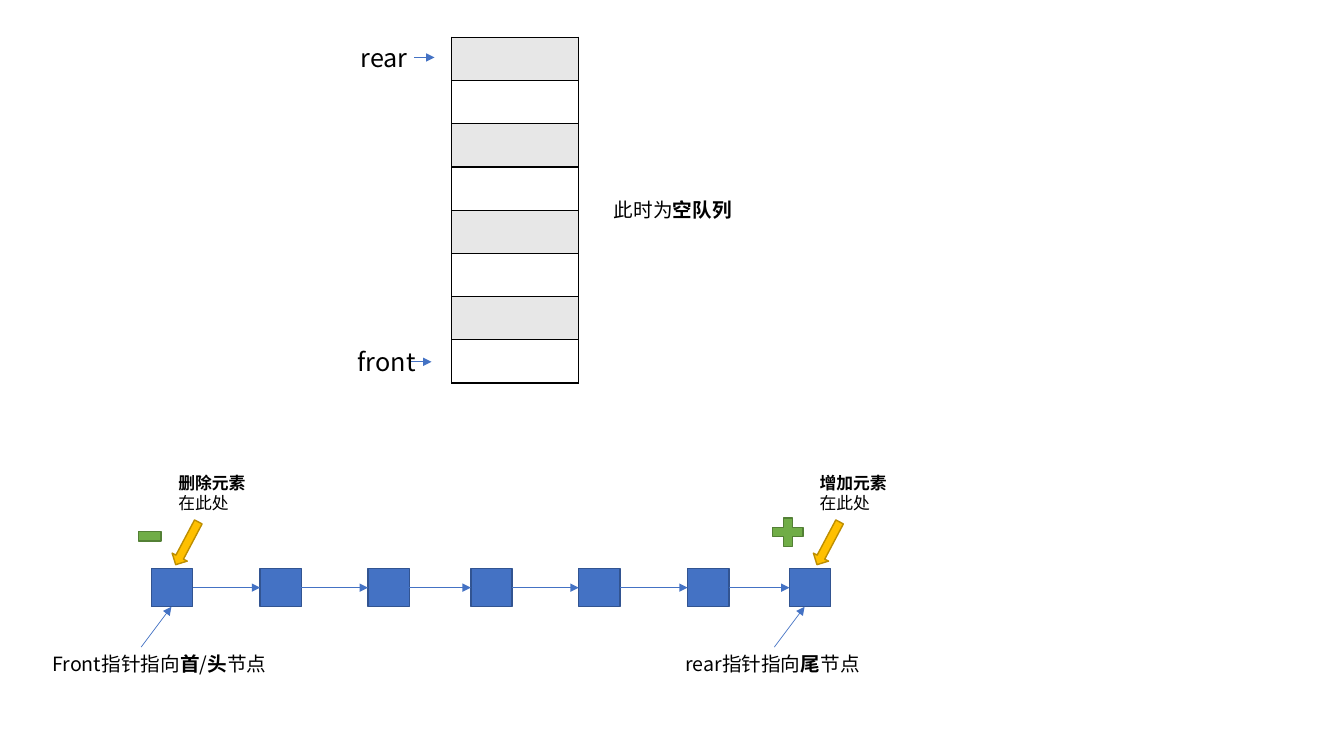
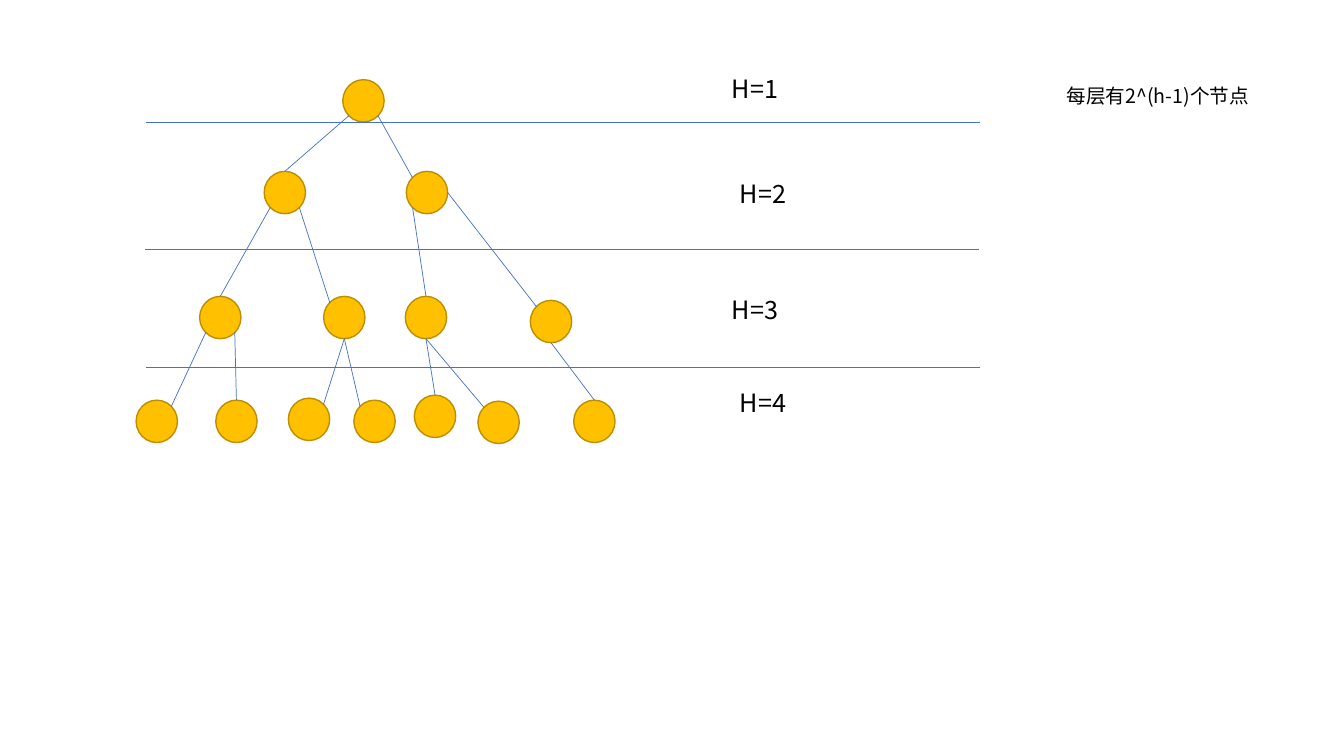
"""Builds two slides on data structures: a queue and a binary tree."""
from lxml import etree
from pptx import Presentation
from pptx.dml.color import RGBColor
from pptx.enum import shapes, text
from pptx.oxml.ns import qn
from pptx.util import Inches, Pt

FONT = "Noto Sans CJK SC"
COLORS = {
    "black": "000000", "white": "FFFFFF", "gray": "E7E7E7",
    "blue": "4472C4", "blue_edge": "325491",
    "gold": "FFC000", "gold_edge": "BD8E00",
    "green": "70AD47", "green_edge": "538035",
}


def add_shape(slide, kind, left, top, width, height, color, rotation=0):
    shape = slide.shapes.add_shape(kind, Inches(left), Inches(top), Inches(width), Inches(height))
    shape.shadow.inherit = False
    shape.rotation = rotation
    shape.fill.solid()
    shape.fill.fore_color.rgb = RGBColor.from_string(COLORS[color])
    shape.line.color.rgb = RGBColor.from_string(COLORS[color + "_edge"])
    shape.line.width = Pt(1)


def add_line(slide, start, end, arrow=False):
    points = [Inches(value) for value in (*start, *end)]
    connector = slide.shapes.add_connector(shapes.MSO_CONNECTOR.STRAIGHT, *points)
    connector.line.color.rgb = RGBColor.from_string(COLORS["blue"])
    connector.line.width = Pt(0.5)
    if arrow:
        etree.SubElement(connector.line._get_or_add_ln(), qn("a:tailEnd"), type="triangle")
    etree.SubElement(connector._element.spPr, qn("a:effectLst"))


presentation = Presentation()
presentation.slide_width = Inches(13.33)
presentation.slide_height = Inches(7.5)
blank = presentation.slide_layouts[6]
queue_slide = presentation.slides.add_slide(blank)
tree_slide = presentation.slides.add_slide(blank)

ROWS = 8
table = queue_slide.shapes.add_table(
    ROWS, 1, Inches(4.48), Inches(0.37), Inches(1.26), Inches(3.43)).table
table.first_row = table.horz_banding = False
for index in range(ROWS):
    cell = table.cell(index, 0)
    cell.margin_top = cell.margin_bottom = 0
    properties = cell._tc.get_or_add_tcPr()
    for side in ("lnL", "lnR", "lnT", "lnB"):
        border = etree.SubElement(properties, qn("a:" + side), w=str(Pt(1)))
        fill = etree.SubElement(border, qn("a:solidFill"))
        etree.SubElement(fill, qn("a:srgbClr"), val=COLORS["black"])
    cell.fill.solid()
    cell.fill.fore_color.rgb = RGBColor.from_string(COLORS["white" if index % 2 else "gray"])

add_line(queue_slide, (4.11, 0.57), (4.31, 0.57), arrow=True)
add_line(queue_slide, (4.08, 3.59), (4.28, 3.59), arrow=True)

BOX_WIDTH, BOX_HEIGHT, BOX_TOP = 0.41, 0.38, 5.64
BOX_MIDDLE = BOX_TOP + BOX_HEIGHT / 2
BOX_LEFTS = [1.5, 2.58, 3.65, 4.67, 5.74, 6.82, 7.83]
for left in BOX_LEFTS:
    add_shape(queue_slide, shapes.MSO_SHAPE.RECTANGLE, left, BOX_TOP, BOX_WIDTH, BOX_HEIGHT, "blue")
for left, next_left in zip(BOX_LEFTS, BOX_LEFTS[1:]):
    add_line(queue_slide, (left + BOX_WIDTH, BOX_MIDDLE), (next_left, BOX_MIDDLE), arrow=True)

for pointer_left, arrow_left in ((1.4, 1.77), (7.68, 8.13)):
    add_line(queue_slide, (pointer_left, 6.42), (pointer_left + 0.3, 6.02), arrow=True)
    add_shape(queue_slide, shapes.MSO_SHAPE.DOWN_ARROW, arrow_left, 5.15, 0.17, 0.48, "gold", 27.9)
add_shape(queue_slide, shapes.MSO_SHAPE.MATH_PLUS, 7.61, 5.09, 0.41, 0.38, "green")
add_shape(queue_slide, shapes.MSO_SHAPE.MATH_MINUS, 1.33, 5.12, 0.31, 0.4, "green")

NODE_WIDTH, NODE_HEIGHT = 0.41, 0.42
NODES = [
    (3.4, 0.79),
    (2.62, 1.7), (4.03, 1.7),
    (1.98, 2.94), (3.21, 2.94), (4.02, 2.94), (5.26, 2.98),
    (1.35, 3.97), (2.14, 3.97), (2.86, 3.95), (3.51, 3.97),
    (4.11, 3.92), (4.74, 3.98), (5.69, 3.97),
]
SITES = {
    "top": (0.5, 0), "top left": (0.15, 0.15), "top right": (0.85, 0.15), "right": (1, 0.5),
    "bottom": (0.5, 1), "bottom left": (0.15, 0.85), "bottom right": (0.85, 0.85),
}
EDGES = [
    ("bottom left", "top"), ("bottom right", "top left"),
    ("bottom left", "top"), ("bottom right", "top left"),
    ("bottom left", "top"), ("right", "top left"),
    ("bottom left", "top right"), ("bottom right", "top"),
    ("bottom", "top right"), ("bottom", "top left"),
    ("bottom", "top"), ("bottom", "top left"),
    ("bottom", "top"),
]
for left, top in NODES:
    add_shape(tree_slide, shapes.MSO_SHAPE.OVAL, left, top, NODE_WIDTH, NODE_HEIGHT, "gold")
for child, edge in enumerate(EDGES, start=1):
    ends = []
    for node, site in zip(((child - 1) // 2, child), edge):
        left, top = NODES[node]
        across, down = SITES[site]
        ends.append((left + across * NODE_WIDTH, top + down * NODE_HEIGHT))
    add_line(tree_slide, *ends)
for left, top in ((1.45, 1.21), (1.44, 2.47), (1.45, 3.64)):
    add_line(tree_slide, (left, top), (left + 8.27, top))

LABELS = [
    (queue_slide, 3.48, 0.37, 0.83, 0.4, 18, "rear"),
    (queue_slide, 3.45, 3.39, 0.83, 0.4, 18, "front"),
    (queue_slide, 5.99, 1.91, 1.43, 0.34, 14, "此时为*空队列*"),
    (queue_slide, 0.42, 6.42, 2.43, 0.34, 14, "Front指针指向*首*/*头*节点"),
    (queue_slide, 6.7, 6.42, 2.43, 0.34, 14, "rear指针指向*尾*节点"),
    (queue_slide, 8.03, 4.64, 1, 0.5, 12, "*增加元素*在此处"),
    (queue_slide, 1.67, 4.64, 1, 0.5, 12, "*删除元素*在此处"),
    (tree_slide, 7.16, 0.68, 1, 0.4, 18, "H=1"),
    (tree_slide, 7.24, 1.72, 1, 0.4, 18, "H=2"),
    (tree_slide, 7.16, 2.87, 1, 0.4, 18, "H=3"),
    (tree_slide, 7.24, 3.79, 1, 0.4, 18, "H=4"),
    (tree_slide, 10.48, 0.78, 2.07, 0.34, 14, "每层有2^(h-1)个节点"),
]
for slide, left, top, width, height, size, label in LABELS:
    frame = slide.shapes.add_textbox(
        Inches(left), Inches(top), Inches(width), Inches(height)).text_frame
    frame.word_wrap = True
    frame.auto_size = text.MSO_AUTO_SIZE.SHAPE_TO_FIT_TEXT
    paragraph = frame.paragraphs[0]
    paragraph.font.size = Pt(size)
    paragraph.font.color.rgb = RGBColor.from_string(COLORS["black"])
    paragraph.font.name = FONT
    defaults = paragraph._p.get_or_add_pPr().find(qn("a:defRPr"))
    etree.SubElement(defaults, qn("a:ea"), typeface=FONT)
    for index, part in enumerate(label.split("*")):
        if part:
            run = paragraph.add_run()
            run.text = part
            if index % 2:
                run.font.bold = True

presentation.save("out.pptx")
